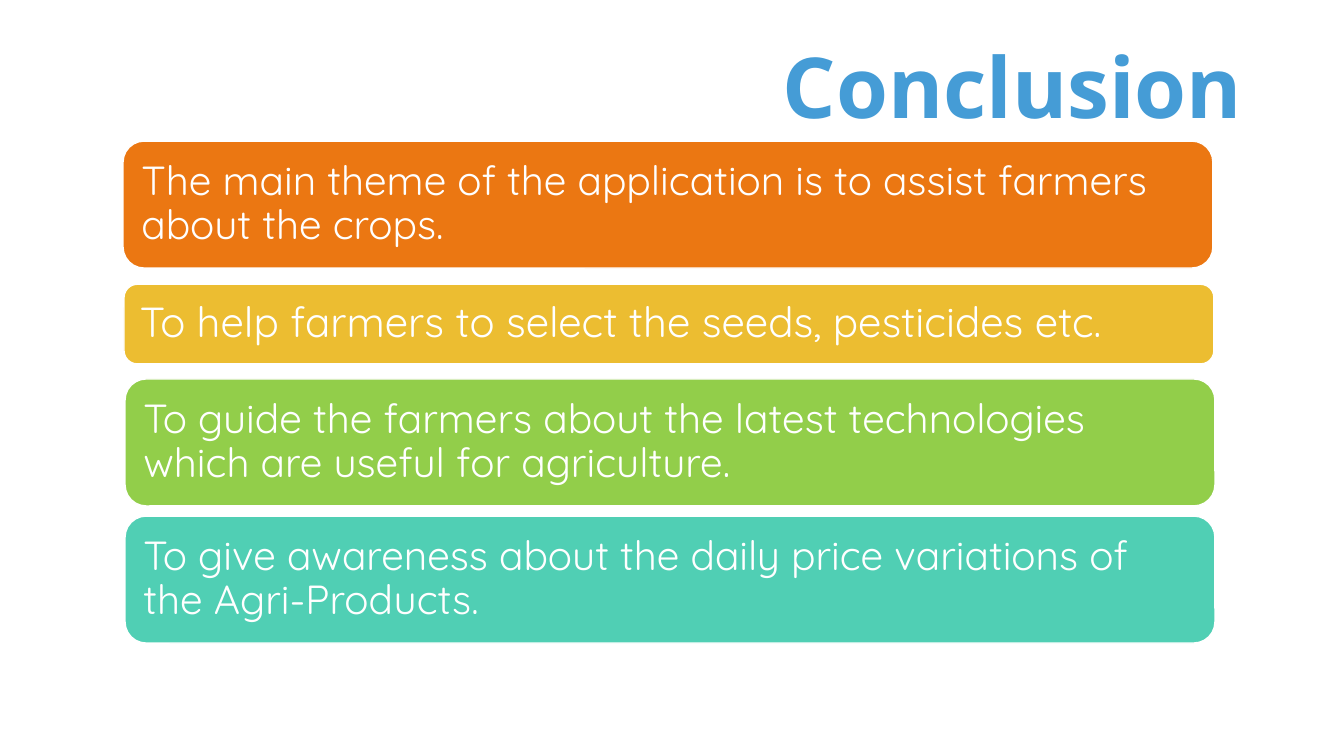
from pptx import Presentation
from pptx.dml.color import RGBColor
from pptx.enum.shapes import MSO_SHAPE
from pptx.enum.text import MSO_ANCHOR as Anchor, PP_ALIGN as Align
from pptx.util import Inches, Pt

BLUE = RGBColor(0x45, 0x9C, 0xD6)
ORANGE = RGBColor(0xEB, 0x77, 0x12)
YELLOW = RGBColor(0xEC, 0xBD, 0x31)
GREEN = RGBColor(0x92, 0xCE, 0x4A)
TEAL = RGBColor(0x50, 0xCF, 0xB4)
WHITE = RGBColor(0xFF, 0xFF, 0xFF)

CARD_WIDTH = 10.81
CARD_INSET = Inches(0.12)
CARDS = [
    (1.22, 1.4, 1.26, ORANGE, 29,
     "The main theme of the application is to assist farmers about the crops."),
    (1.23, 2.82, 0.79, YELLOW, 30,
     "To help farmers to select the seeds, pesticides etc."),
    (1.24, 3.76, 1.26, GREEN, 29,
     "To guide the farmers about the latest technologies which are useful for agriculture."),
    (1.24, 5.12, 1.26, TEAL, 29,
     "To give awareness about the daily price variations of the Agri-Products."),
]


def style_text(para, font_name, size, color, bold=False):
    for span in para.runs:
        span.font.name = font_name
        span.font.size = Pt(size)
        span.font.bold = bold
        span.font.color.rgb = color


def add_title(page, left, top, width, height, text):
    box = page.shapes.add_textbox(Inches(left), Inches(top), Inches(width), Inches(height))
    box.text_frame.word_wrap = True
    box.text_frame.text = text
    para = box.text_frame.paragraphs[0]
    para.alignment = Align.CENTER
    style_text(para, "Noto Sans", 60, BLUE, bold=True)


def add_card(page, left, top, width, height, color, size, text):
    card = page.shapes.add_shape(
        MSO_SHAPE.ROUNDED_RECTANGLE,
        Inches(left), Inches(top), Inches(width), Inches(height))
    card.shadow.inherit = False
    card.fill.solid()
    card.fill.fore_color.rgb = color
    card.line.color.rgb = WHITE
    card.line.width = Pt(1)

    frame = card.text_frame
    frame.word_wrap = True
    frame.vertical_anchor = Anchor.MIDDLE
    frame.margin_left = frame.margin_right = CARD_INSET
    frame.margin_top = frame.margin_bottom = CARD_INSET
    frame.text = text
    para = frame.paragraphs[0]
    para.alignment = Align.LEFT
    para.line_spacing = 0.9
    style_text(para, "Quicksand", size, WHITE)


def main():
    deck = Presentation()
    deck.slide_width = Inches(13.33)
    deck.slide_height = Inches(7.5)
    page = deck.slides.add_slide(deck.slide_layouts[6])
    add_title(page, 7.33, 0.29, 5.42, 1.11, "Conclusion")
    for left, top, height, color, size, text in CARDS:
        add_card(page, left, top, CARD_WIDTH, height, color, size, text)
    deck.save("out.pptx")


if __name__ == "__main__":
    main()
